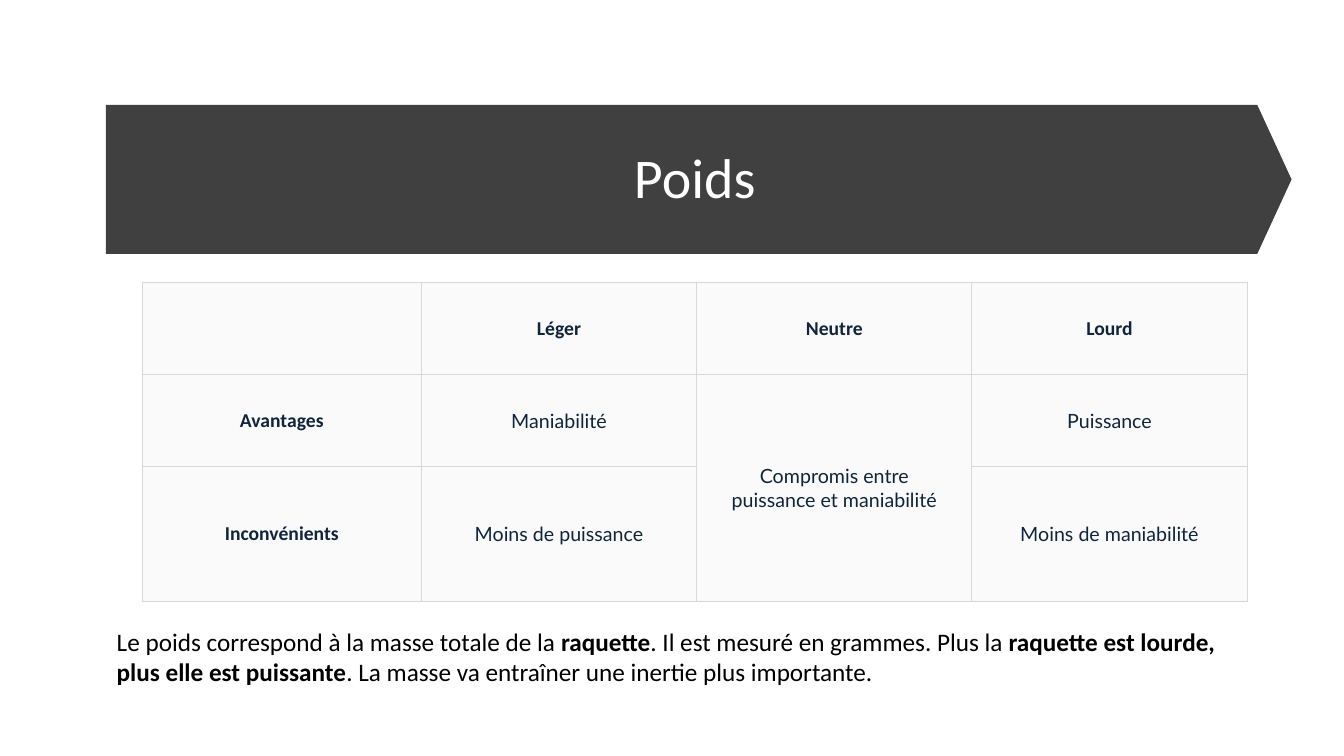
from dataclasses import dataclass

from lxml import etree
from pptx import Presentation
from pptx.dml.color import RGBColor
from pptx.enum.shapes import MSO_SHAPE
from pptx.enum.text import MSO_ANCHOR, MSO_AUTO_SIZE, PP_ALIGN
from pptx.oxml.ns import qn
from pptx.util import Inches, Pt

ARROW = MSO_SHAPE.DOWN_ARROW
MIDDLE = MSO_ANCHOR.MIDDLE
CENTER = PP_ALIGN.CENTER
GROW = MSO_AUTO_SIZE.SHAPE_TO_FIT_TEXT

WIDTH, HEIGHT = Inches(13.33), Inches(7.5)
DARK, WHITE, BLACK = "404040", "FFFFFF", "000000"
NAVY, PALE, RULE = "10243B", "FAFAFA", "D8D8D8"


@dataclass
class Box:
    """Place on the slide, in percent of its width and height."""
    left: float
    top: float
    width: float
    height: float

    def emu(self) -> tuple[int, int, int, int]:
        return across(self.left), down(self.top), across(self.width), down(self.height)


@dataclass
class Style:
    size: int
    color: str
    bold: bool = False
    face: str = "Calibri"


@dataclass
class Entry:
    row: int
    col: int
    text: str
    style: Style


def across(share: float) -> int:
    return round(WIDTH * share / 100)


def down(share: float) -> int:
    return round(HEIGHT * share / 100)


def paint(tint: str) -> RGBColor:
    return RGBColor.from_string(tint)


def write(para, text: str, style: Style) -> None:
    run = para.add_run()
    run.text = text
    values = {"size": Pt(style.size), "bold": style.bold, "name": style.face}
    for key, value in values.items():
        setattr(run.font, key, value)
    run.font.color.rgb = paint(style.color)


def frame(cell) -> None:
    """Fill, inset and outline one table cell."""
    cell.fill.solid()
    cell.fill.fore_color.rgb = paint(PALE)
    cell.vertical_anchor = MIDDLE
    for side in ("left", "right", "top", "bottom"):
        setattr(cell, f"margin_{side}", across(1.58))
    props = cell._tc.get_or_add_tcPr()
    for spot, edge in enumerate("LRTB"):
        line = etree.Element(qn(f"a:ln{edge}"), w=str(Pt(0.75)))
        solid = etree.SubElement(line, qn("a:solidFill"))
        etree.SubElement(solid, qn("a:srgbClr"), val=RULE)
        props.insert(spot, line)


HEAD = Style(14, NAVY, True)
BODY = Style(14, NAVY, face="Lato")
PLAIN, STRONG = Style(18, BLACK), Style(18, BLACK, True)

COLS = [20.78, 20.48, 20.48, 20.48]
ROWS = [12.2, 12.2, 17.87]
ENTRIES = [
    Entry(0, 1, "Léger", HEAD),
    Entry(0, 2, "Neutre", HEAD),
    Entry(0, 3, "Lourd", HEAD),
    Entry(1, 0, "Avantages", HEAD),
    Entry(1, 1, "Maniabilité", BODY),
    Entry(1, 2, "Compromis entre puissance et maniabilité", BODY),
    Entry(1, 3, "Puissance", BODY),
    Entry(2, 0, "Inconvénients", HEAD),
    Entry(2, 1, "Moins de puissance", BODY),
    Entry(2, 3, "Moins de maniabilité", BODY),
]
NOTE = [
    ("Le poids correspond à la masse totale de la ", PLAIN),
    ("raquette", STRONG),
    (". Il est mesuré en grammes. Plus la ", PLAIN),
    ("raquette est lourde, plus elle est puissante", STRONG),
    (". La masse va entraîner une inertie plus importante.", PLAIN),
]


def add_title(slide) -> None:
    title = slide.shapes.title
    title.left, title.top, title.width, title.height = Box(10.58, 17.6, 82.22, 12.53).emu()
    title.text_frame.vertical_anchor = MIDDLE
    para = title.text_frame.paragraphs[0]
    para.alignment, para.line_spacing = CENTER, 0.9
    write(para, "Poids", Style(40, WHITE))

    # Banner arrow, turned to point right, behind the title
    wide, long = down(19.73), across(88.22)
    mid_x, mid_y = across(51.99), down(23.73)
    arrow = slide.shapes.add_shape(ARROW, mid_x - wide // 2, mid_y - long // 2, wide, long)
    arrow.rotation = 270
    arrow.adjustments[0], arrow.adjustments[1] = 1, 0.23
    arrow.shadow.inherit = False
    arrow.fill.solid()
    arrow.fill.fore_color.rgb = paint(DARK)
    arrow.line.fill.background()
    title.element.addprevious(arrow.element)


def add_grid(slide) -> None:
    place = Box(10.58, 37.33, sum(COLS), sum(ROWS))
    table = slide.shapes.add_table(len(ROWS), len(COLS), *place.emu()).table
    table.first_row = table.horz_banding = False
    for col, share in zip(table.columns, COLS):
        col.width = across(share)
    for row, share in zip(table.rows, ROWS):
        row.height = down(share)
    for cell in table.iter_cells():
        frame(cell)
    table.cell(1, 2).merge(table.cell(2, 2))
    for entry in ENTRIES:
        para = table.cell(entry.row, entry.col).text_frame.paragraphs[0]
        para.alignment = CENTER
        write(para, entry.text, entry.style)


def add_note(slide) -> None:
    text = slide.shapes.add_textbox(*Box(7.95, 82.13, 84.83, 9.47).emu()).text_frame
    text.word_wrap, text.auto_size = True, GROW
    for part, style in NOTE:
        write(text.paragraphs[0], part, style)


def main() -> None:
    deck = Presentation()
    deck.slide_width, deck.slide_height = WIDTH, HEIGHT
    slide = deck.slides.add_slide(deck.slide_layouts[5])
    add_title(slide)
    add_grid(slide)
    add_note(slide)
    deck.save("out.pptx")


if __name__ == "__main__":
    main()
